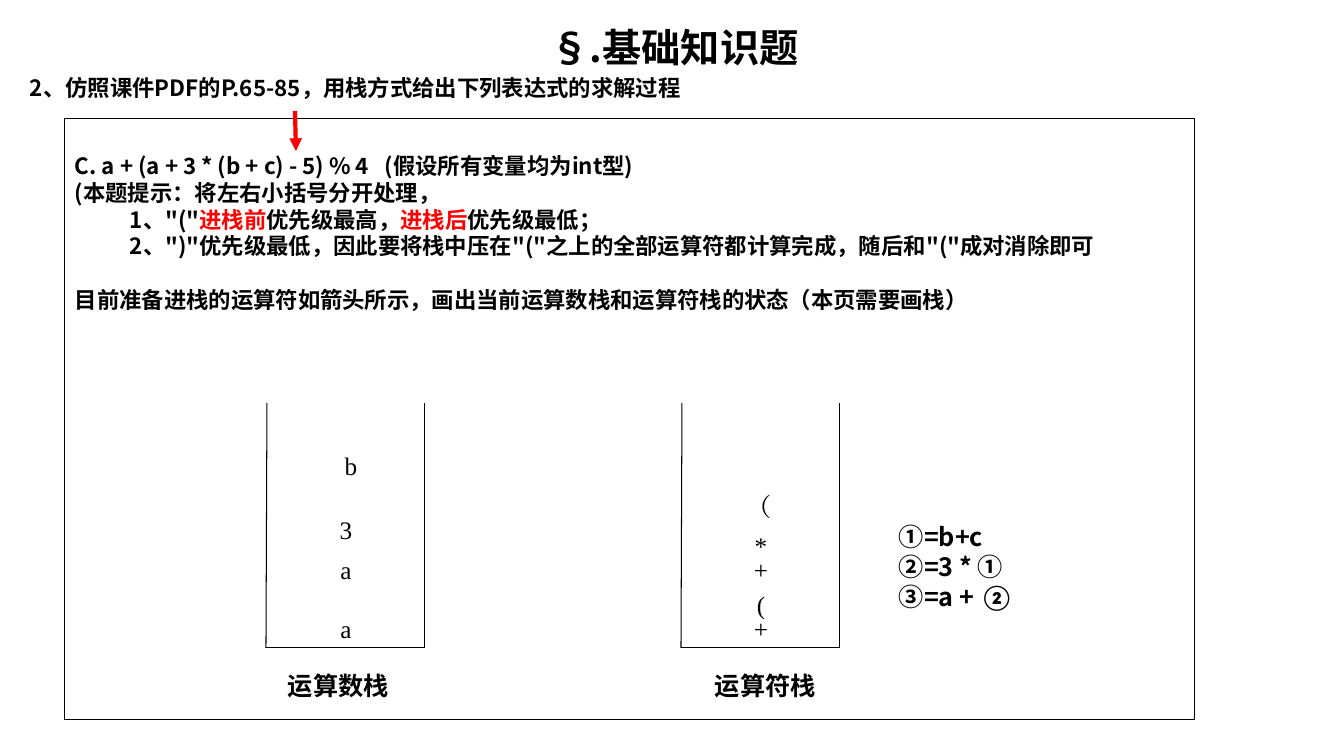
from lxml import etree
from pptx import Presentation
from pptx import util as u
from pptx.dml.color import RGBColor
from pptx.enum import shapes, text
from pptx.oxml.ns import qn

EMU_PER_PX = 914400 / 100.8
BLACK, RED = "000000", "FF0000"
SANS, SERIF, ROUND = "Noto Sans CJK SC", "Times New Roman", "Calibri"
LEFT, CENTER = text.PP_ALIGN.LEFT, text.PP_ALIGN.CENTER


def px(value):
    return u.Emu(round(value * EMU_PER_PX))


def color(hex_string):
    return RGBColor.from_string(hex_string)


class SlideWriter:
    def __init__(self, presentation):
        self.slide = presentation.slides.add_slide(presentation.slide_layouts[6])
        self.line_height = 1.2

    def style_run(self, run, size, font, ink, bold):
        run.font.size = u.Pt(size)
        run.font.bold = bold
        run.font.color.rgb = color(ink)
        run.font.name = font
        properties = run._r.get_or_add_rPr()
        etree.SubElement(properties, qn("a:ea")).set("typeface", font)

    def paragraph(self, frame, parts, size, font=SANS, align=LEFT,
                  before=0, indent=0, tab=0):
        """Fill the empty first paragraph or add one; parts are (text, changes)."""
        paragraph = frame.paragraphs[0]
        if paragraph.runs:
            paragraph = frame.add_paragraph()
        paragraph.alignment = align
        paragraph.space_before = u.Pt(before)
        if font == SANS:
            paragraph.line_spacing = u.Pt(size * self.line_height)
        properties = paragraph._p.get_or_add_pPr()
        if indent:
            properties.set("marL", str(px(indent)))
            properties.set("indent", "0")
        if tab:
            stops = etree.SubElement(properties, qn("a:tabLst"))
            etree.SubElement(stops, qn("a:tab"), pos=str(px(tab)), algn="l")
        for words, changes in parts:
            run = paragraph.add_run()
            run.text = words
            style = {"font": font, "ink": BLACK, "bold": font == SANS} | changes
            self.style_run(run, size, **style)

    def text_box(self, left, top, width, height):
        frame = self.slide.shapes.add_textbox(
            px(left), px(top), px(width), px(height)).text_frame
        frame.word_wrap = True
        return frame

    def label(self, left, top, width, words, size=18, **style):
        frame = self.text_box(left, top, width, 40)
        self.paragraph(frame, [(words, {})], size, **style)

    def outlined_box(self, left, top, width, height):
        shape = self.slide.shapes.add_shape(
            shapes.MSO_SHAPE.RECTANGLE, px(left), px(top), px(width), px(height))
        shape.shadow.inherit = False
        shape.fill.background()
        shape.line.color.rgb = color(BLACK)
        shape.line.width = u.Pt(0.75)
        frame = shape.text_frame
        frame.word_wrap = True
        frame.vertical_anchor = text.MSO_ANCHOR.TOP
        return frame

    def line(self, start, end, ink=BLACK, width=0.75, arrow=False):
        connector = self.slide.shapes.add_connector(
            shapes.MSO_CONNECTOR.STRAIGHT, *map(px, start + end))
        connector.line.color.rgb = color(ink)
        connector.line.width = u.Pt(width)
        if arrow:
            outline = connector.line._get_or_add_ln()
            etree.SubElement(outline, qn("a:tailEnd")).set("type", "triangle")
        etree.SubElement(connector._element.spPr, qn("a:effectLst"))

    def stack(self, left, caption, caption_left, items):
        """Draw an open-topped stack; items are (symbol, top, shift right)."""
        top, bottom, right = 403, 648, left + 159
        self.line((left, bottom), (right, bottom))
        self.line((left + 1, top), (left, bottom))
        self.line((right, top), (right, bottom))
        for symbol, item_top, shift in items:
            self.label(left + 32 + shift, item_top, 96, symbol,
                       font=SERIF, align=CENTER)
        self.label(caption_left, 665, 147, caption)


def main():
    presentation = Presentation()
    presentation.slide_width, presentation.slide_height = px(1344), px(756)
    writer = SlideWriter(presentation)

    heading = writer.text_box(20, 18, 1309, 90)
    writer.paragraph(heading, [("§.基础知识题", {})], 28, align=CENTER)
    writer.paragraph(
        heading, [("2、仿照课件PDF的P.65-85，用栈方式给出下列表达式的求解过程", {})],
        16, before=3.2)

    question = writer.outlined_box(65, 119, 1130, 601)
    question.margin_top = px(33)
    red = {"ink": RED}
    for parts, layout in [
        ([("C. a + (a + 3 * (b + c) - 5) % 4\t(假设所有变量均为int型)", {})],
         {"tab": 310}),
        ([("(本题提示：将左右小括号分开处理，", {})], {}),
        ([("1、\"(\"", {}), ("进栈前", red), ("优先级最高，", {}),
          ("进栈后", red), ("优先级最低；", {})], {"indent": 55}),
        ([("2、\")\"优先级最低，因此要将栈中压在\"(\"之上的全部运算符都计算完成，"
           "随后和\"(\"成对消除即可", {})], {"indent": 55}),
        ([("目前准备进栈的运算符如箭头所示，画出当前运算数栈和运算符栈的状态"
           "（本页需要画栈）", {})], {"before": 19.2}),
    ]:
        writer.paragraph(question, parts, 16, **layout)

    writer.line((295, 111), (296, 151), RED, 3, arrow=True)

    writer.stack(266, "运算数栈", 278,
                 [("a", 608, 0), ("a", 549, 0), ("3", 509, 0), ("b", 445, 5)])
    writer.stack(681, "运算符栈", 705,
                 [("+", 608, 0), ("(", 584, 0), ("+", 549, 0),
                  ("*", 525, 0), ("（", 486, -2)])

    steps = writer.text_box(889, 516, 280, 132)
    for parts in [
        [("①=b+c", {})],
        [("②=3 * ①", {})],
        [("③=a + ", {}), ("②", {"font": ROUND})],
    ]:
        writer.paragraph(steps, parts, 18)

    presentation.save("out.pptx")


if __name__ == "__main__":
    main()
